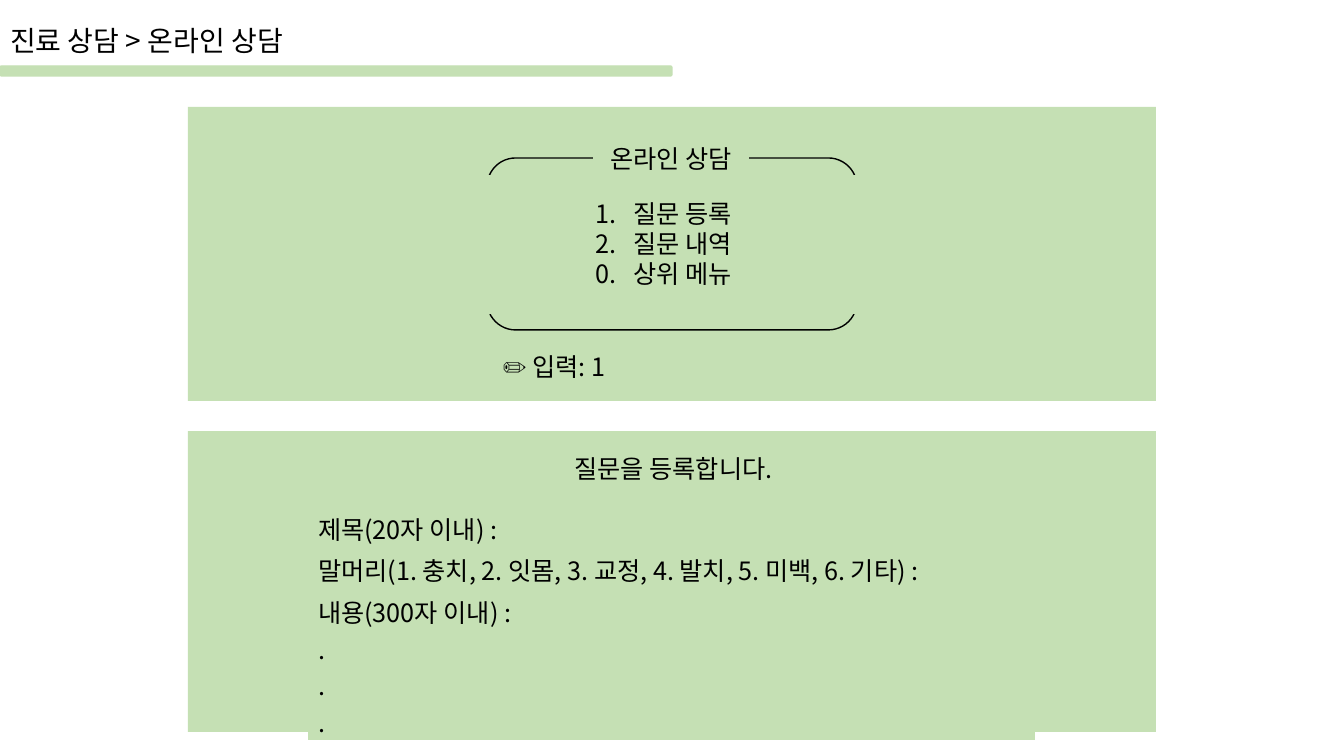
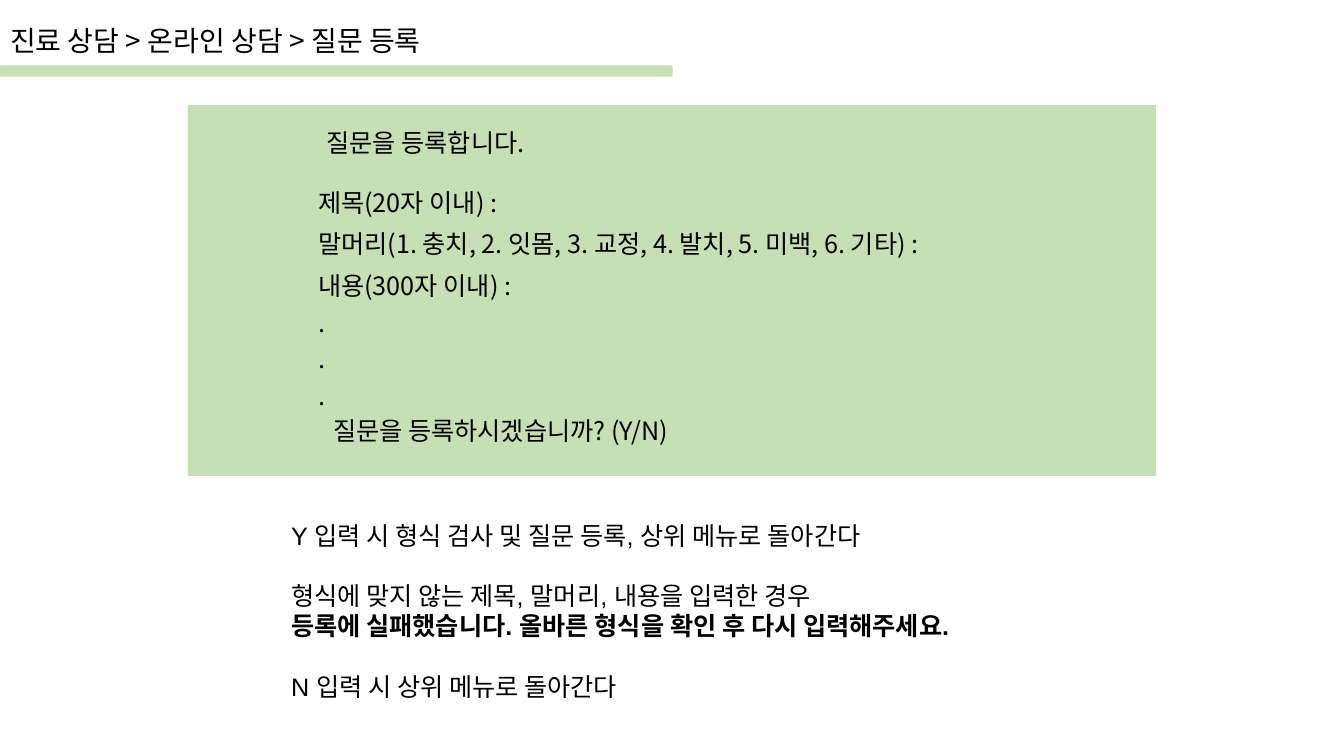
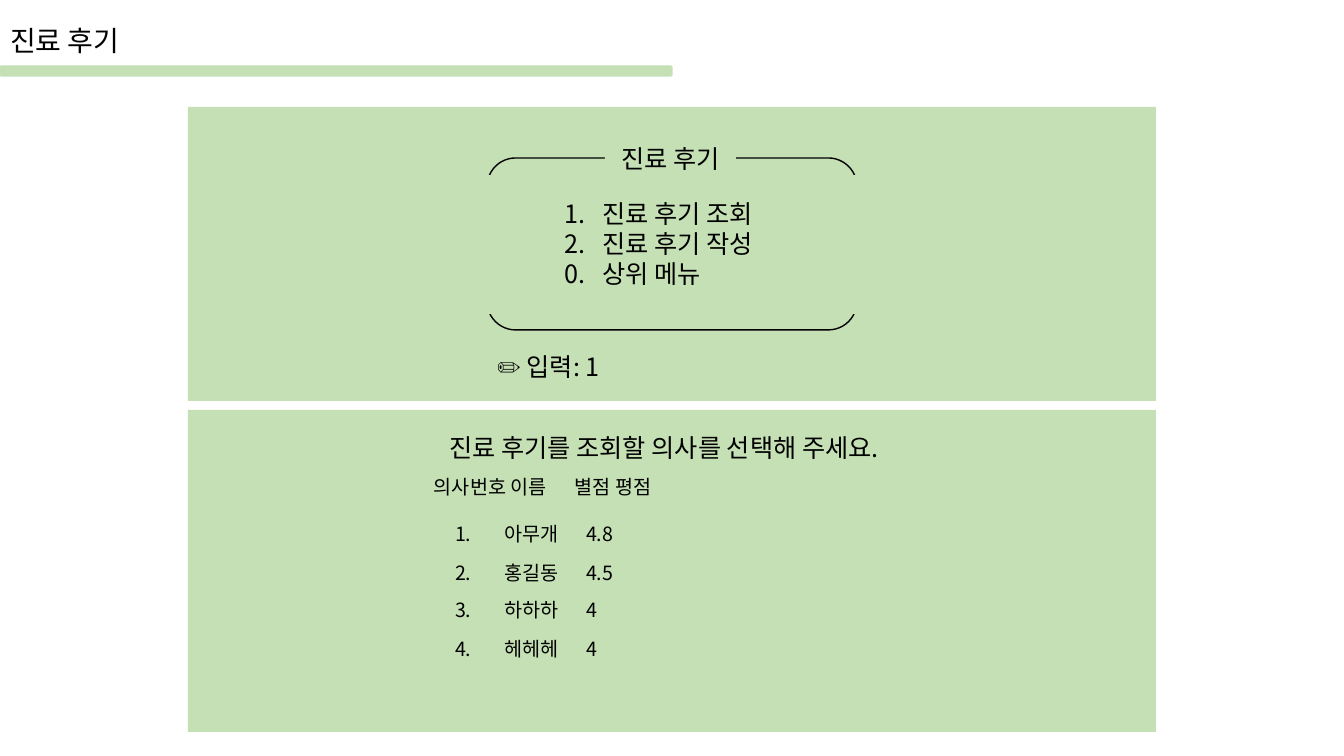
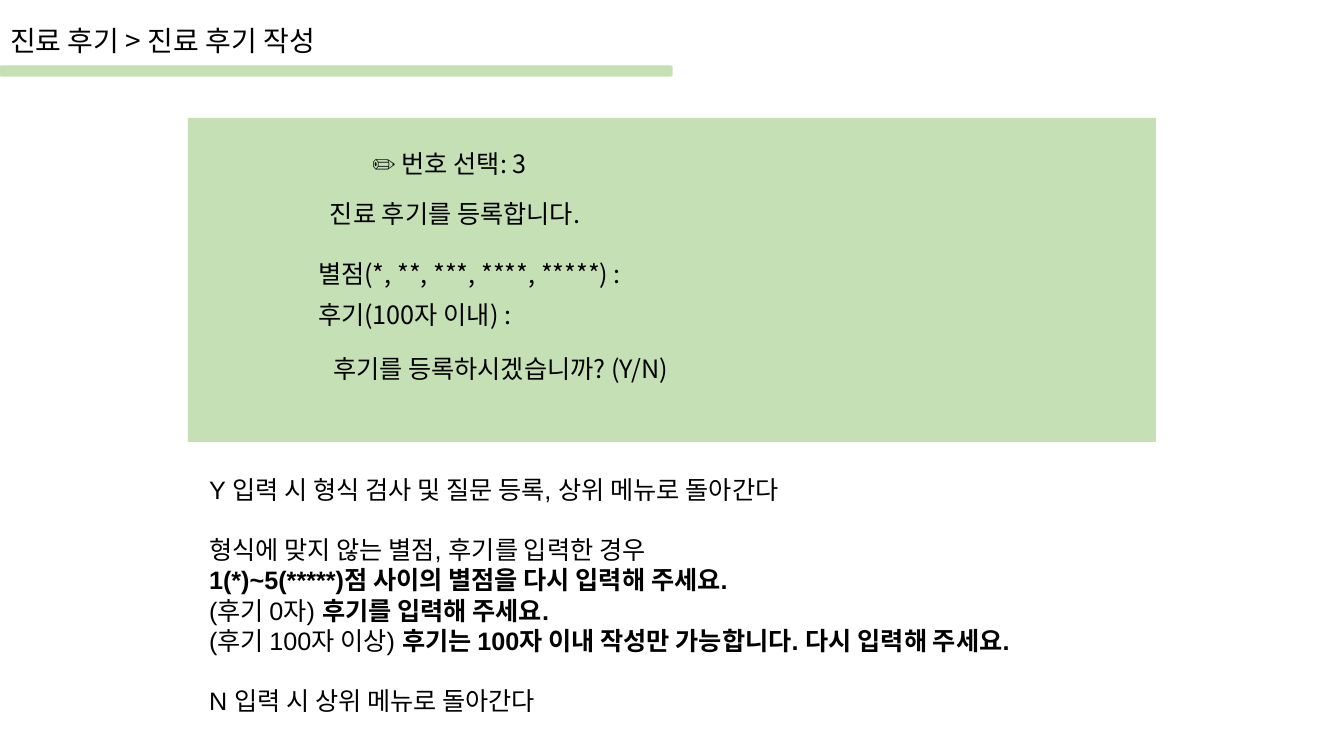
from lxml.etree import SubElement
from pptx import Presentation
from pptx.dml.color import RGBColor
from pptx.enum.shapes import MSO_SHAPE
from pptx.enum.text import MSO_ANCHOR, MSO_AUTO_SIZE, PP_ALIGN
from pptx.oxml.ns import qn
from pptx.util import Emu, Pt

EMU_PER_PX = 914400 / 100.8
GREEN, BLACK = "C5E0B4", "000000"
KOREAN, LATIN = "Noto Sans CJK KR", "Arial"
LINE_RATIO, TABLE_LINE_RATIO = 1.2, 1.45
NUMBER_INDENT = 38
ROW_HEIGHT, DOTTED_ROW_HEIGHT = 41, 145
PANEL_LEFT, PANEL_WIDTH = 188, 968
FORM_LEFT, FORM_WIDTH = 308, 727
NO_GRID_STYLE = "{2D5ABB26-0587-4C30-8999-92F81FD0307C}"

QUESTION_FORM = [
    ["제목(20자 이내) :"],
    ["말머리(1. 충치, 2. 잇몸, 3. 교정, 4. 발치, 5. 미백, 6. 기타) :"],
    ["내용(300자 이내) :", ".", ".", "."],
]
REVIEW_FORM = [["별점(*, **, ***, ****, *****) :"], ["후기(100자 이내) :"]]
DOCTORS = [
    "1.\t아무개\t4.8",
    "2.\t홍길동\t4.5",
    "3.\t하하하\t4",
    "4.\t헤헤헤\t4",
]
ON_YES = [[("Y 입력 시 형식 검사 및 질문 등록, 상위 메뉴로 돌아간다", False)]]
ON_NO = [[("N 입력 시 상위 메뉴로 돌아간다", False)]]
QUESTION_NOTES = [
    ON_YES,
    [
        [("형식에 맞지 않는 제목, 말머리, 내용을 입력한 경우", False)],
        [("등록에 실패했습니다. 올바른 형식을 확인 후 다시 입력해주세요.", True)],
    ],
    ON_NO,
]
REVIEW_NOTES = [
    ON_YES,
    [
        [("형식에 맞지 않는 별점, 후기를 입력한 경우", False)],
        [("1(*)~5(*****)점 사이의 별점을 다시 입력해 주세요.", True)],
        [("(후기 0자) ", False), ("후기를 입력해 주세요.", True)],
        [("(후기 100자 이상) ", False),
         ("후기는 100자 이내 작성만 가능합니다. 다시 입력해 주세요.", True)],
    ],
    ON_NO,
]


def px(length):
    """Turn pixels into EMU."""
    return Emu(round(length * EMU_PER_PX))


def color(hex_value):
    """Turn a hex string into a colour."""
    return RGBColor.from_string(hex_value)


def apply(target, values):
    """Set every attribute named in a dict."""
    for name, value in values.items():
        setattr(target, name, value)


def place(shape, left, top, width, height):
    """Move and size a shape in pixels."""
    apply(shape, {"left": px(left), "top": px(top),
                  "width": px(width), "height": px(height)})


def write_line(paragraph, runs, size=18, font=KOREAN, align=PP_ALIGN.LEFT,
               ratio=LINE_RATIO, gap=0, tabs=()):
    """Write (text, bold) runs, or one plain string, into a paragraph."""
    apply(paragraph, {
        "alignment": align,
        "line_spacing": Pt(round(size * ratio, 2)),
        "space_before": Pt(gap),
        "space_after": Pt(0),
    })
    if tabs:
        stops = SubElement(paragraph._p.get_or_add_pPr(), qn("a:tabLst"))
        for tab in tabs:
            SubElement(stops, qn("a:tab"), pos=str(px(tab)), algn="l")
    for text, bold in [(runs, False)] if isinstance(runs, str) else runs:
        run = paragraph.add_run()
        run.text = text
        apply(run.font, {"size": Pt(size), "name": font, "bold": bold})
        run.font.color.rgb = color(BLACK)


def next_paragraph(frame):
    """Return the empty first paragraph of a frame, or a new one."""
    first = frame.paragraphs[0]
    return frame.add_paragraph() if first.runs else first


def set_bullet(paragraph, kind, indent=0, **attributes):
    """Give a paragraph its bullet element and hanging indent."""
    properties = paragraph._p.get_or_add_pPr()
    properties.set("marL", str(px(indent)))
    properties.set("indent", str(-px(indent)))
    SubElement(properties, qn(kind), **attributes)


def prepare_placeholder(placeholder, box):
    """Bring a placeholder to the front, at its place, with top anchored text."""
    tree = placeholder._element.getparent()
    tree.append(placeholder._element)
    place(placeholder, *box)
    apply(placeholder.text_frame, {
        "auto_size": MSO_AUTO_SIZE.NONE,
        "vertical_anchor": MSO_ANCHOR.TOP,
        "word_wrap": True,
    })
    return placeholder.text_frame


def add_block(slide, box, preset=MSO_SHAPE.RECTANGLE, outline=None):
    """Add a green shape, outlined if a colour is given."""
    block = slide.shapes.add_shape(preset, *map(px, box))
    block.shadow.inherit = False
    block.fill.solid()
    block.fill.fore_color.rgb = color(GREEN)
    if outline:
        block.line.color.rgb = color(outline)
        block.line.width = Pt(1)
    else:
        block.line.fill.background()
    return block


def add_panel(slide, top, height):
    """Add one console screen panel."""
    add_block(slide, (PANEL_LEFT, top, PANEL_WIDTH, height))


def add_message(slide, text, left, top, width):
    """Add a green box with one centred line."""
    message = add_block(slide, (left, top, width, 40))
    message.text_frame.vertical_anchor = MSO_ANCHOR.MIDDLE
    write_line(message.text_frame.paragraphs[0], text, align=PP_ALIGN.CENTER)


def add_label(slide, text, box, size=18, tabs=()):
    """Add a one-line text box, with optional tab stops."""
    label = slide.shapes.add_textbox(*map(px, box))
    label.text_frame.word_wrap = True
    write_line(label.text_frame.paragraphs[0], text, size, tabs=tabs)


def add_rows(slide, left, top, width, heights):
    """Add a plain green one-column table without grid lines."""
    box = left, top, width, sum(heights)
    table = slide.shapes.add_table(len(heights), 1, *map(px, box)).table
    apply(table, {"first_row": False, "horz_banding": False})
    table._tbl.tblPr.find(qn("a:tableStyleId")).text = NO_GRID_STYLE
    for row, height in zip(table.rows, heights):
        row.height = px(height)
    for cell in table.iter_cells():
        cell.margin_bottom = 0
        cell.fill.solid()
        cell.fill.fore_color.rgb = color(GREEN)
    return table


def add_form(slide, top, fields):
    """Add the input form, one row for each field."""
    heights = [ROW_HEIGHT if len(lines) == 1 else DOTTED_ROW_HEIGHT
               for lines in fields]
    form = add_rows(slide, FORM_LEFT, top, FORM_WIDTH, heights)
    for cell, lines in zip(form.iter_cells(), fields):
        for text in lines:
            write_line(next_paragraph(cell.text_frame), text,
                       ratio=TABLE_LINE_RATIO)


def add_doctors(slide, left, top):
    """Add the list of doctors with their ratings."""
    doctors = add_rows(slide, left, top, 379, [39, 37, 39, 39])
    for cell, text in zip(doctors.iter_cells(), DOCTORS):
        write_line(cell.text_frame.paragraphs[0], text, size=14,
                   ratio=TABLE_LINE_RATIO, tabs=(49, 131))


def add_menu(slide, legend, legend_left, legend_width, choices, list_left):
    """Add the framed menu: legend, numbered choices and the way back."""
    add_block(slide, (487, 158, 370, 172), MSO_SHAPE.ROUNDED_RECTANGLE, BLACK)
    add_block(slide, (402, 175, 537, 139))
    add_message(slide, legend, legend_left, 138, legend_width)
    frame = prepare_placeholder(slide.placeholders[1], (list_left, 193, 250, 102))
    for choice in choices:
        line = next_paragraph(frame)
        write_line(line, choice)
        set_bullet(line, "a:buAutoNum", NUMBER_INDENT, type="arabicPeriod")
    way_back = next_paragraph(frame)
    write_line(way_back, "0.\t상위 메뉴")
    set_bullet(way_back, "a:buNone", NUMBER_INDENT)


def add_notes_text(slide, groups, box):
    """Write the groups of remarks, one line apart."""
    frame = prepare_placeholder(slide.placeholders[1], box)
    for group in groups:
        for index, runs in enumerate(group):
            starts_group = index == 0 and group is not groups[0]
            line = next_paragraph(frame)
            write_line(line, runs, font=LATIN, gap=21.6 if starts_group else 0)
            set_bullet(line, "a:buNone")


def start_slide(deck, heading):
    """Add a slide with its heading and the band below it."""
    slide = deck.slides.add_slide(deck.slide_layouts[1])
    add_block(slide, (0, 66, 672, 10), MSO_SHAPE.ROUNDED_RECTANGLE, GREEN)
    frame = prepare_placeholder(slide.shapes.title, (0, 18, 876, 44))
    write_line(frame.paragraphs[0], heading, size=20)
    return slide


def build_consulting(deck):
    """Online consulting menu and the question form."""
    slide = start_slide(deck, "진료 상담 > 온라인 상담")
    add_panel(slide, 431, 301)
    add_panel(slide, 107, 294)
    add_menu(slide, "온라인 상담", 593, 156, ["질문 등록", "질문 내역"], 585)
    add_message(slide, "✏ 입력: 1", 487, 346, 134)
    add_form(slide, 505, QUESTION_FORM)
    add_message(slide, "질문을 등록합니다.", 554, 448, 239)


def build_question(deck):
    """Question form with its confirmation and remarks."""
    slide = start_slide(deck, "진료 상담 > 온라인 상담 > 질문 등록")
    add_panel(slide, 105, 371)
    add_form(slide, 178, QUESTION_FORM)
    add_message(slide, "질문을 등록합니다.", 306, 122, 239)
    add_message(slide, "질문을 등록하시겠습니까? (Y/N)", 306, 410, 389)
    add_notes_text(slide, QUESTION_NOTES, (281, 515, 780, 193))


def build_reviews(deck):
    """Review menu and the choice of a doctor."""
    slide = start_slide(deck, "진료 후기")
    add_panel(slide, 107, 294)
    add_menu(slide, "진료 후기", 605, 131, ["진료 후기 조회", "진료 후기 작성"], 554)
    add_label(slide, "✏ 입력: 1", (487, 346, 134, 40))
    add_panel(slide, 410, 322)
    add_message(slide, "진료 후기를 조회할 의사를 선택해 주세요.", 412, 427, 504)
    add_doctors(slide, 445, 514)
    add_label(slide, "의사번호 이름\t별점 평점", (424, 470, 266, 34), size=14, tabs=(141,))


def build_review_form(deck):
    """Review form with its confirmation and remarks."""
    slide = start_slide(deck, "진료 후기 > 진료 후기 작성")
    add_panel(slide, 118, 324)
    add_label(slide, "✏ 번호 선택: 3", (362, 143, 204, 40))
    add_form(slide, 249, REVIEW_FORM)
    add_message(slide, "진료 후기를 등록합니다.", 306, 193, 298)
    add_message(slide, "후기를 등록하시겠습니까? (Y/N)", 306, 348, 389)
    add_notes_text(slide, REVIEW_NOTES, (199, 469, 944, 254))


def main():
    """Build and save the deck."""
    deck = Presentation()
    apply(deck, {"slide_width": px(1344), "slide_height": px(756)})
    for build in (build_consulting, build_question, build_reviews, build_review_form):
        build(deck)
    deck.save("out.pptx")


main()
